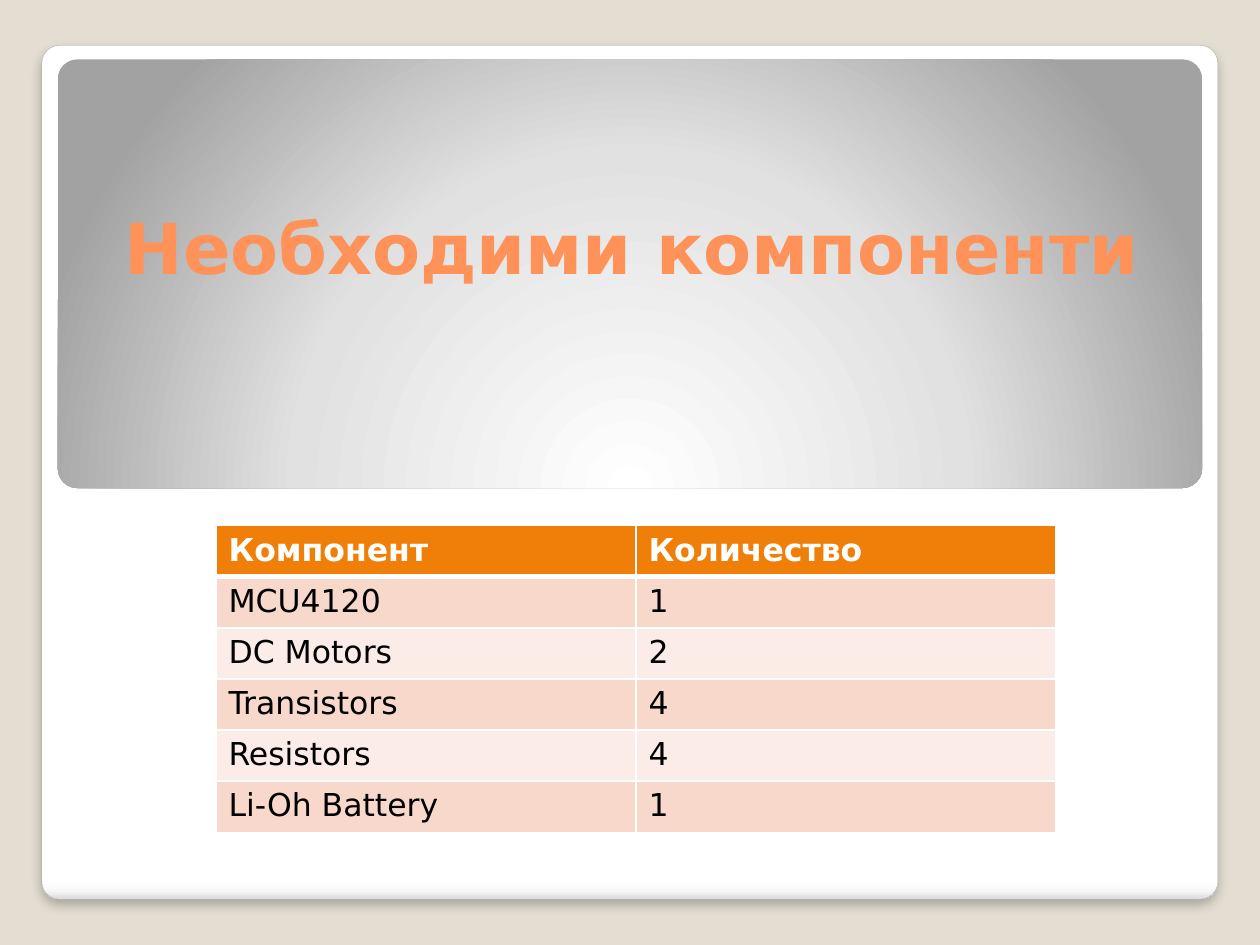
from typing import NamedTuple, Optional

from lxml import etree
from pptx import Presentation
from pptx.dml.color import RGBColor
from pptx.enum.shapes import MSO_SHAPE as Shape
from pptx.enum.text import MSO_ANCHOR as Anchor, PP_ALIGN as Align
from pptx.oxml import parse_xml
from pptx.oxml.ns import nsdecls, qn
from pptx.util import Pt

FONT = "DejaVu Sans"
COLORS = {
    "background": "E3DED1",
    "white": "FFFFFF",
    "black": "000000",
    "outline": "A4A4A4",
    "title": "FF9258",
    "header": "F07F09",
    "band_dark": "F9D8CC",
    "band_light": "FCECE7",
}
DOWNWARD = '<a:lin ang="5400000" scaled="0"/>'
FROM_BOTTOM = ('<a:path path="circle"><a:fillToRect l="50000" t="175000" '
               'r="50000" b="-75000"/></a:path>')


class Panel(NamedTuple):
    left: float
    top: float
    width: float
    height: float
    rounding: float
    stops: list[tuple[int, str]]
    direction: str
    outline: Optional[str] = None
    shadow: bool = False


PANELS = [
    Panel(23.9, 25.9, 672, 488, 0.021,
          [(0, "FFFFFF"), (98, "FFFFFF"), (99, "F7F7F7"), (100, "DADADA")],
          DOWNWARD, outline="outline", shadow=True),
    Panel(33, 33.9, 654, 245, 0.046,
          [(0, "FFFFFF"), (55, "E1E1E1"), (100, "A2A2A2")], FROM_BOTTOM),
]
COMPONENTS = [
    ("Компонент", "Количество"),
    ("MCU4120", "1"),
    ("DC Motors", "2"),
    ("Transistors", "4"),
    ("Resistors", "4"),
    ("Li-Oh Battery", "1"),
]


def color(name: str) -> RGBColor:
    return RGBColor.from_string(COLORS[name])


def write(frame, text: str, *, size: float, ink: str, bold: bool = False,
          align=Align.LEFT) -> None:
    para = frame.paragraphs[0]
    para.alignment = align
    span = para.add_run()
    span.text = text
    span.font.name = FONT
    span.font.size = Pt(size)
    span.font.bold = bold
    span.font.color.rgb = color(ink)


def add_panel(page, panel: Panel) -> None:
    box = page.shapes.add_shape(Shape.ROUNDED_RECTANGLE, Pt(panel.left), Pt(panel.top),
                                Pt(panel.width), Pt(panel.height))
    box.adjustments[0] = panel.rounding
    box.shadow.inherit = False
    if panel.outline:
        box.line.color.rgb = color(panel.outline)
        box.line.width = Pt(0.16)
    else:
        box.line.fill.background()

    # Gradient with its own stops and direction
    box.fill.gradient()
    properties = box._element.spPr
    stops = "".join(f'<a:gs pos="{position * 1000}"><a:srgbClr val="{tone}"/></a:gs>'
                    for position, tone in panel.stops)
    properties.replace(properties.find(qn("a:gradFill")), parse_xml(
        f'<a:gradFill {nsdecls("a")} rotWithShape="1"><a:gsLst>{stops}</a:gsLst>'
        f'{panel.direction}</a:gradFill>'))

    if panel.shadow:
        properties.find(qn("a:effectLst")).append(parse_xml(
            f'<a:outerShdw {nsdecls("a")} blurRad="{Pt(6)}" dist="{Pt(4)}" dir="5400000" '
            f'algn="ctr" rotWithShape="0"><a:srgbClr val="{COLORS["black"]}">'
            '<a:alpha val="25000"/></a:srgbClr></a:outerShdw>'))


def add_border(cell, side: str, width: float) -> None:
    line = etree.SubElement(cell._tc.get_or_add_tcPr(), qn(f"a:ln{side}"), w=str(Pt(width)))
    fill = etree.SubElement(line, qn("a:solidFill"))
    etree.SubElement(fill, qn("a:srgbClr"), val=COLORS["white"])


def add_components(page, rows: list[tuple[str, str]]) -> None:
    row_height = 29.2
    table = page.shapes.add_table(len(rows), 2, Pt(123.4), Pt(300.4), Pt(480),
                                  Pt(row_height * len(rows))).table
    for row_index, texts in enumerate(rows):
        table.rows[row_index].height = Pt(row_height)
        header = row_index == 0
        band = "header" if header else "band_dark" if row_index % 2 else "band_light"
        # A thick rule parts the header from the body
        widths = {"L": 1, "R": 1, "T": 3 if row_index == 1 else 1, "B": 3 if header else 1}
        for column, text in enumerate(texts):
            cell = table.cell(row_index, column)
            for side, width in widths.items():
                add_border(cell, side, width)
            cell.fill.solid()
            cell.fill.fore_color.rgb = color(band)
            write(cell.text_frame, text, size=18, bold=header,
                  ink="white" if header else "black")


def add_title(page, text: str) -> None:
    frame = page.shapes.add_textbox(Pt(56.9), Pt(84.2), Pt(612), Pt(84.2)).text_frame
    frame.word_wrap = True
    frame.vertical_anchor = Anchor.BOTTOM
    frame.margin_left = frame.margin_top = frame.margin_bottom = Pt(3.6)
    frame.margin_right = Pt(18)
    write(frame, text, size=40, ink="title", bold=True, align=Align.RIGHT)


deck = Presentation()
deck.slide_width, deck.slide_height = Pt(720), Pt(540)
page = deck.slides.add_slide(deck.slide_layouts[6])
page.background.fill.solid()
page.background.fill.fore_color.rgb = color("background")

# Frame, title and table
for panel in PANELS:
    add_panel(page, panel)
add_title(page, "Необходими компоненти")
add_components(page, COMPONENTS)

deck.save("out.pptx")
